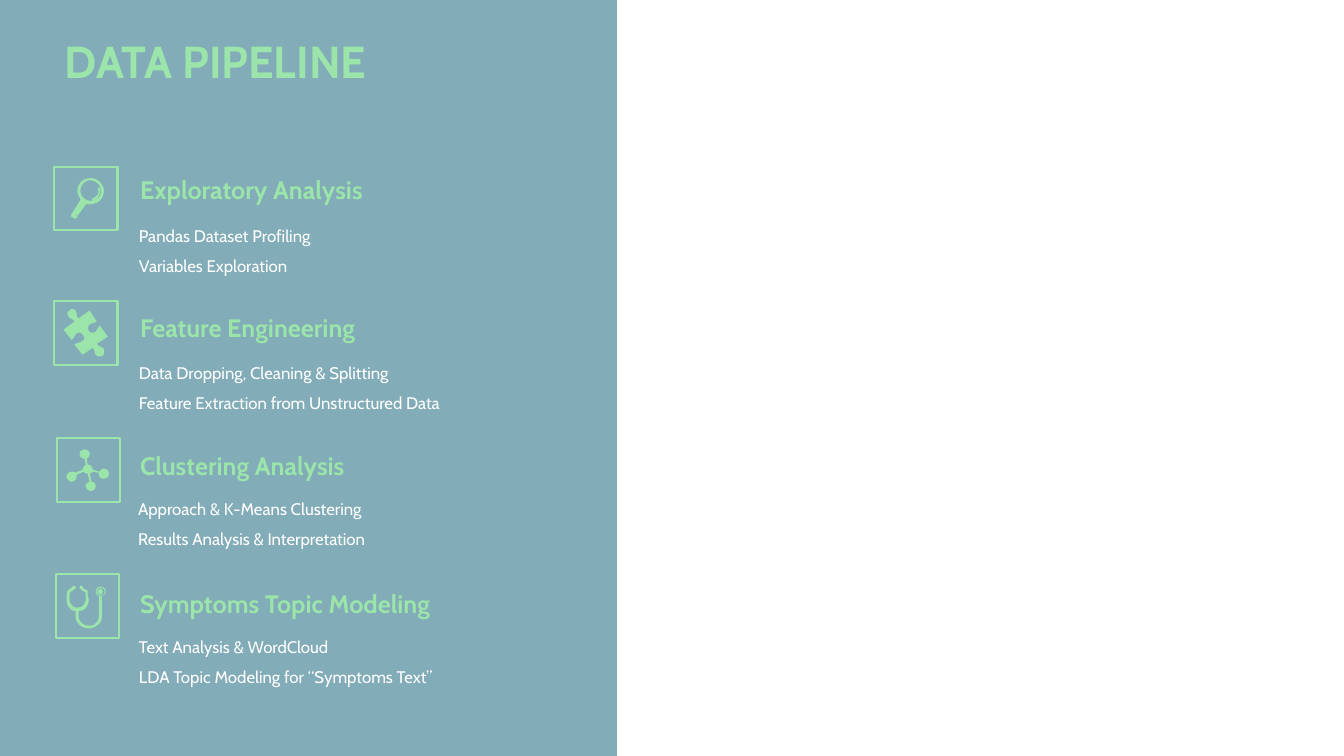
from lxml.etree import SubElement
from pptx import Presentation
from pptx.dml.color import RGBColor
from pptx.enum.shapes import MSO_SHAPE
from pptx.enum.text import MSO_ANCHOR, MSO_AUTO_SIZE, PP_ALIGN
from pptx.oxml.ns import qn
from pptx.util import Pt

TEAL = RGBColor(0x30, 0x76, 0x89)
GREEN = RGBColor(0x9B, 0xE5, 0xAA)
WHITE = RGBColor(0xFF, 0xFF, 0xFF)
UNIT = 0.72  # icon outlines are in hundredths of an inch
CURVE_STEPS = 6

# Each contour: a start point, then x,y for a line or six numbers for a Bezier curve
MAGNIFIER = [
    "77,215 76,216 75,217,74,217,74,217 71,215 70,215,70,214,71,213 71,212,71,212,72,211",
    "99,186 100,189,99,192,98,194 97,197,94,198,92,199 91,197 93,197,95,195,97,193 "
    "98,191,98,189,97,187",
    "100,187 99,182,93,178,88,179 82,180,79,186,80,191 81,197,87,200,92,199 "
    "98,198,101,193,100,187",
    "103,187 104,194,100,201,93,202 90,203,88,203,86,202 77,214 72,211 80,198 "
    "79,196,78,194,77,192 76,185,80,178,87,177 94,175,101,180,103,187",
]
PUZZLE = [
    "69,308 70,306,73,306,75,308 77,311,75,313,78,316 89,308 96,319 93,321,91,320,89,322 "
    "87,324,87,326,88,328 89,330,92,331,95,329 97,327,96,326,99,323 107,334 96,341 "
    "99,345,100,343,103,346 104,349,103,352,102,353 100,354,97,354,95,352 "
    "93,350,95,348,92,345 82,352 74,342 77,339,79,341,82,338 84,337,84,334,82,332 "
    "81,330,78,329,76,331 73,334,74,335,71,337 63,327 74,319 71,315,70,317,68,314 "
    "66,312,67,309,69,308",
]
NETWORK = [
    "84,446 87,446,89,448,89,450 89,452,88,454,86,455 87,461 90,461,92,463,92,466 99,468 "
    "100,466,101,465,103,465 106,465,108,467,108,470 108,473,106,475,103,475 "
    "100,475,98,473,98,470 98,469 92,468 91,469,90,469,89,470 91,478 93,478,95,480,95,482 "
    "95,485,93,487,90,487 88,487,85,485,85,482 85,480,87,478,89,478 87,470 "
    "85,470,84,469,83,468 76,471 76,473 76,475,74,478,71,478 "
    "69,478,66,475,66,473 66,470,69,468,71,468 73,468,74,468,75,469 82,466 "
    "82,464,84,462,85,461 84,455 81,455,79,453,79,450 79,448,81,446,84,446",
]
STETHOSCOPE = [
    "100,584 101,584,102,586,102,587 102,588,101,590,100,590 98,590,97,588,97,587 "
    "97,586,98,584,100,584",
    "100,583 98,583,96,585,96,587 96,589,98,591,100,591 102,591,104,589,104,587 "
    "104,585,102,583,100,583",
    "73,581 75,582 75,584 73,585 72,586 69,588 69,590 69,595 69,598,71,600,73,602 "
    "75,603,78,603,81,602 83,600,85,598,85,595 85,590 85,588 82,586 81,585 79,584 "
    "79,582 80,581 82,582 83,584 87,586 87,590 88,595 88,599,86,603,83,605 "
    "81,606,80,606,78,606 78,612 78,615,80,618,84,620 87,621,90,621,93,620 "
    "96,618,98,615,98,612 98,591 96,591,95,589,95,587 95,584,97,582,100,582 "
    "102,582,105,584,105,587 105,589,103,591,101,591 101,613 101,617,98,620,94,622 "
    "90,624,86,624,82,622 78,620,76,617,75,613 75,606 74,606,72,606,71,605 "
    "68,603,66,599,66,595 66,590 67,586 70,584 71,583 72,582",
]

# heading, list lines, heading top, list left and top, frame left and top, icon
STAGES = [
    ("Exploratory Analysis", ["Pandas Dataset Profiling", "Variables Exploration"],
     121.2, (92, 150.2), (38.6, 119), MAGNIFIER),
    ("Feature Engineering",
     ["Data Dropping, Cleaning & Splitting", "Feature Extraction from Unstructured Data"],
     219.6, (92, 248.2), (38.6, 215.2), PUZZLE),
    ("Clustering Analysis",
     ["Approach & K-Means Clustering", "Results Analysis & Interpretation"],
     318, (91.4, 345.5), (40.6, 313), NETWORK),
    ("Symptoms Topic Modeling",
     ["Text Analysis & WordCloud", "LDA Topic Modeling for “Symptoms Text”"],
     416.4, (92, 444), (39.9, 410.2), STETHOSCOPE),
]


def write(sp, box, lines, anchor=MSO_ANCHOR.TOP, spacing=1.0, **font):
    """Place a text shape and fill it with plain, left-aligned paragraphs."""
    sp.left, sp.top, sp.width, sp.height = [Pt(v) for v in box]
    tf = sp.text_frame
    tf.text = "\n".join(lines)
    tf.word_wrap = True
    tf.auto_size = MSO_AUTO_SIZE.NONE
    tf.vertical_anchor = anchor
    for p in tf.paragraphs:
        p.alignment = PP_ALIGN.LEFT
        p.line_spacing = spacing
        p.space_before = Pt(0)
        pPr = p._p.get_or_add_pPr()
        pPr.set("marL", "0")
        pPr.set("indent", "0")
        SubElement(pPr, qn("a:buNone"))
        r = p.runs[0]
        r.font.name = "Cabin"
        r.font.color.rgb = font["color"]
        for name in ("size", "bold"):
            setattr(r.font, name, font[name])
    return tf


def outline(contour):
    """Turn a contour string into points in EMU, with curves cut into short lines."""
    points = []
    for segment in contour.split():
        values = [float(v) for v in segment.split(",")]
        if len(values) == 2:
            points.append(tuple(values))
            continue
        (x0, y0), (x1, y1, x2, y2, x3, y3) = points[-1], values
        for step in range(1, CURVE_STEPS + 1):
            t = step / CURVE_STEPS
            a, b, c, d = (1 - t) ** 3, 3 * t * (1 - t) ** 2, 3 * t * t * (1 - t), t ** 3
            points.append((a * x0 + b * x1 + c * x2 + d * x3,
                           a * y0 + b * y1 + c * y2 + d * y3))
    return [(Pt(x * UNIT), Pt(y * UNIT)) for x, y in points]


prs = Presentation()
prs.slide_width, prs.slide_height = Pt(960), Pt(540)
slide = prs.slides.add_slide(prs.slide_layouts.get_by_name("Comparison"))
shapes = slide.shapes
bodies = [sp for sp in slide.placeholders if sp.placeholder_format.idx in (1, 2, 3, 4)]

panel = shapes.add_shape(MSO_SHAPE.RECTANGLE, 0, 0, Pt(440.6), prs.slide_height)
panel.shadow.inherit = False
panel.line.fill.background()
panel.fill.solid()
panel.fill.fore_color.rgb = TEAL
color = panel._element.spPr.find(qn("a:solidFill"))[0]
SubElement(color, qn("a:alpha")).set("val", "60000")
shapes._spTree.insert(2, panel._element)

write(shapes.title, (38.9, 20.2, 268.6, 46), ["DATA PIPELINE"],
      size=Pt(32), bold=True, color=GREEN)

for body, stage in zip(bodies, STAGES):
    heading, lines, heading_top, list_at, frame_at, contours = stage
    write(body, (*list_at, 365.5, 48.2), lines, spacing=1.5,
          size=Pt(12), bold=False, color=WHITE)
    tf = write(shapes.add_textbox(0, 0, 0, 0), (91.4, heading_top, 365.5, 28.8), [heading],
               anchor=MSO_ANCHOR.MIDDLE, size=Pt(18), bold=True, color=GREEN)
    tf.margin_left = tf.margin_right = Pt(8.64)

    frame = shapes.add_shape(MSO_SHAPE.RECTANGLE, *[Pt(v) for v in (*frame_at, 45.4, 45.4)])
    frame.shadow.inherit = False
    frame.fill.background()
    frame.line.color.rgb = GREEN
    frame.line.width = Pt(1.5)

    first, *rest = [outline(c) for c in contours]
    builder = shapes.build_freeform(*first[0])
    builder.add_line_segments(first[1:], close=True)
    for points in rest:
        builder.move_to(*points[0])
        builder.add_line_segments(points[1:], close=True)
    icon = builder.convert_to_shape()
    icon.shadow.inherit = False
    icon.fill.solid()
    icon.fill.fore_color.rgb = GREEN
    icon.line.fill.background()

prs.save("out.pptx")
